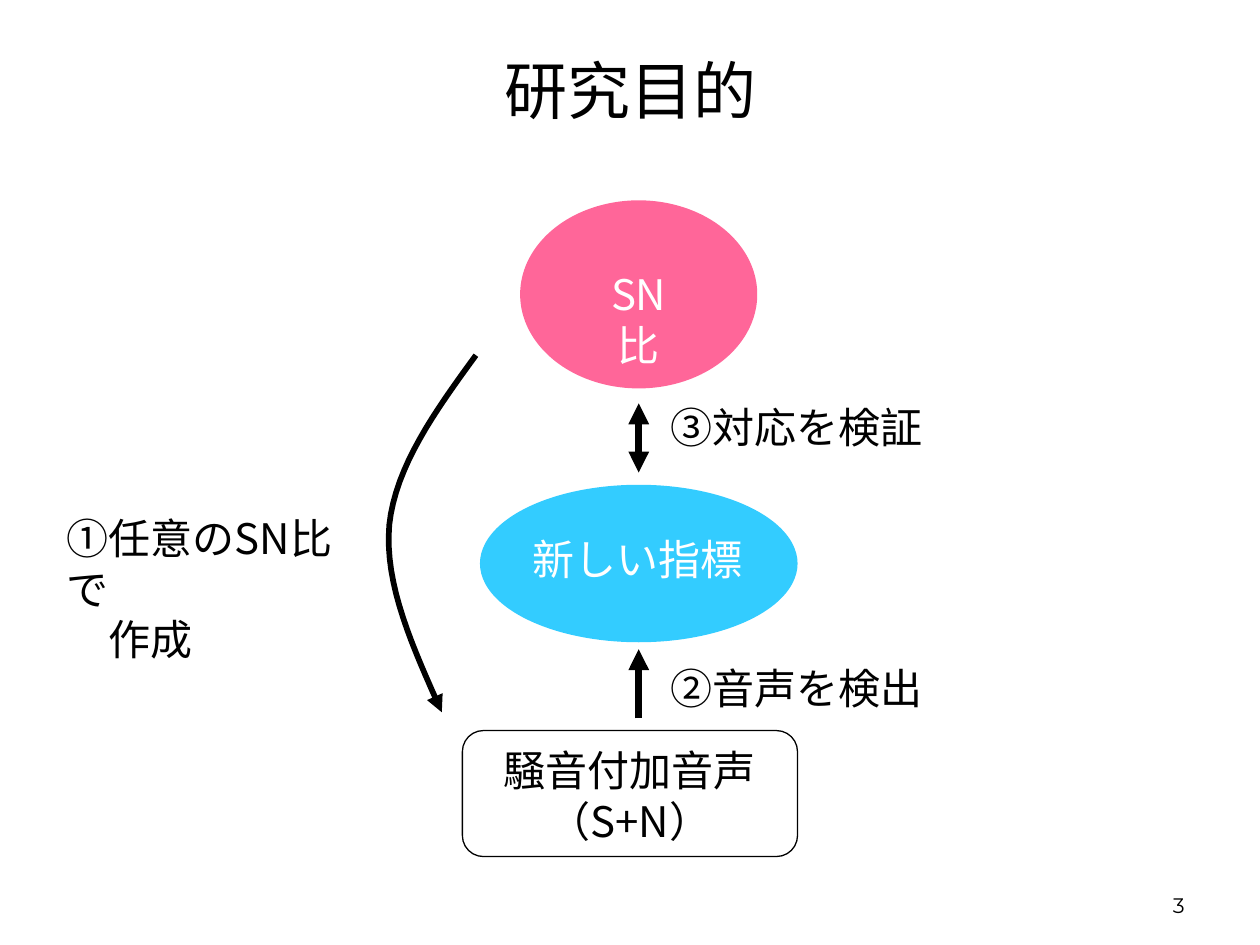
from dataclasses import dataclass

from lxml import etree
from pptx import Presentation
from pptx.dml.color import RGBColor
from pptx.enum import shapes, text
from pptx.oxml import ns
from pptx.util import Pt

CJK = "Noto Sans CJK JP"
BLACK, WHITE, PINK, BLUE = "000000", "FFFFFF", "FF6699", "33CCFF"
AXIS = 365  # x of the central column of the diagram
LEFT, CENTER, RIGHT = text.PP_ALIGN.LEFT, text.PP_ALIGN.CENTER, text.PP_ALIGN.RIGHT
TOP, MIDDLE, BOTTOM = text.MSO_ANCHOR.TOP, text.MSO_ANCHOR.MIDDLE, text.MSO_ANCHOR.BOTTOM


@dataclass
class Label:
    lines: list[str]
    x: float
    y: float
    w: float
    h: float = 36
    align: int = LEFT
    anchor: int = TOP
    color: str = BLACK
    size: float = 24
    font: str = CJK


@dataclass
class Node:
    kind: int
    y: float
    w: float
    h: float
    x: float = AXIS  # centre
    fill: str | None = None
    line: str | None = None


@dataclass
class Arrow:
    y1: float
    y2: float
    ends: tuple[str, ...] = ("tailEnd",)


NODES = [
    Node(shapes.MSO_SHAPE.OVAL, 114.5, 135.5, 107.5, fill=PINK),
    Node(shapes.MSO_SHAPE.OVAL, 277, 181.5, 90, fill=BLUE),
    Node(shapes.MSO_SHAPE.ROUNDED_RECTANGLE, 417.5, 191.5, 72, x=360, line=BLACK),
]
ARROWS = [
    Arrow(410.5, 371),
    Arrow(230.5, 270, ("headEnd", "tailEnd")),
]
LABELS = [
    Label(["研究目的"], 70, 6, 580, 90, CENTER, MIDDLE, size=36),
    Label(["SN比"], 333.25, 150, 63.5, align=CENTER, color=WHITE),
    Label(["新しい指標"], 296.5, 301.5, 135.5, align=CENTER, color=WHITE),
    Label(["騒音付加音声", "（S+N）"], 280, 422, 160, 65.5, CENTER),
    Label(["②音声を検出"], 376, 375, 160),
    Label(["③対応を検証"], 376, 226, 160),
    Label(["①任意のSN比で", "\u3000作成".replace("\u3000", "　")], 31, 289.5, 184.5, 65.5),
    Label(["3"], 516, 492, 168, 36, RIGHT, BOTTOM, size=12, font="Montserrat"),
]
CURVES = [
    [(272, 203), (249, 234.5), (226, 266.5), (222.5, 300)],
    [(222.5, 300), (219.5, 334), (236, 370), (252.5, 407)],
]


def rgb(color: str) -> RGBColor:
    return RGBColor.from_string(color)


def add_label(s, label: Label) -> None:
    tf = s.shapes.add_textbox(Pt(label.x), Pt(label.y), Pt(label.w), Pt(label.h)).text_frame
    tf.word_wrap = True
    tf.vertical_anchor = label.anchor
    tf.text = "\n".join(label.lines)
    for p in tf.paragraphs:
        p.alignment = label.align
        p.font.name = label.font
        p.font.size = Pt(label.size)
        p.font.color.rgb = rgb(label.color)
        ea = etree.SubElement(p.font._element, ns.qn("a:ea"))
        ea.set("typeface", label.font)


def add_node(s, node: Node) -> None:
    sp = s.shapes.add_shape(node.kind, Pt(node.x - node.w / 2), Pt(node.y), Pt(node.w), Pt(node.h))
    sp.shadow.inherit = False
    if node.fill:
        sp.fill.solid()
        sp.fill.fore_color.rgb = rgb(node.fill)
    else:
        sp.fill.background()
    if node.line:
        sp.line.color.rgb = rgb(node.line)
        sp.line.width = Pt(0.75)
    else:
        sp.line.fill.background()


def style_line(sp, width: float, ends: tuple[str, ...]) -> None:
    """Make the line black, with triangles at the named ends."""
    sp.line.color.rgb = rgb(BLACK)
    sp.line.width = Pt(width)
    for end in ends:
        etree.SubElement(sp.line._get_or_add_ln(), ns.qn(f"a:{end}")).set("type", "triangle")


def add_arrow(s, arrow: Arrow) -> None:
    sp = s.shapes.add_connector(
        shapes.MSO_CONNECTOR.STRAIGHT, Pt(AXIS), Pt(arrow.y1), Pt(AXIS), Pt(arrow.y2))
    style_line(sp, 4, arrow.ends)
    etree.SubElement(sp._element.spPr, ns.qn("a:effectLst"))


def bezier(points: list[tuple[float, float]], t: float) -> tuple[int, int]:
    """Point on a cubic curve at t, in EMU."""
    weights = ((1 - t) ** 3, 3 * t * (1 - t) ** 2, 3 * t ** 2 * (1 - t), t ** 3)
    x, y = (sum(w * v for w, v in zip(weights, axis)) for axis in zip(*points))
    return Pt(x), Pt(y)


def add_curved_arrow(s, curves: list[list[tuple[float, float]]], steps: int = 16) -> None:
    vertices = [bezier(c, i / steps) for c in curves for i in range(1, steps + 1)]
    builder = s.shapes.build_freeform(*bezier(curves[0], 0))
    builder.add_line_segments(vertices, close=False)
    sp = builder.convert_to_shape()
    sp.shadow.inherit = False
    sp.fill.background()
    style_line(sp, 3.25, ("tailEnd",))


def main() -> None:
    prs = Presentation()
    prs.slide_width, prs.slide_height = Pt(720), Pt(540)
    s = prs.slides.add_slide(prs.slide_layouts[6])
    for node in NODES:
        add_node(s, node)
    for arrow in ARROWS:
        add_arrow(s, arrow)
    add_curved_arrow(s, CURVES)
    for label in LABELS:
        add_label(s, label)
    prs.save("out.pptx")


if __name__ == "__main__":
    main()
